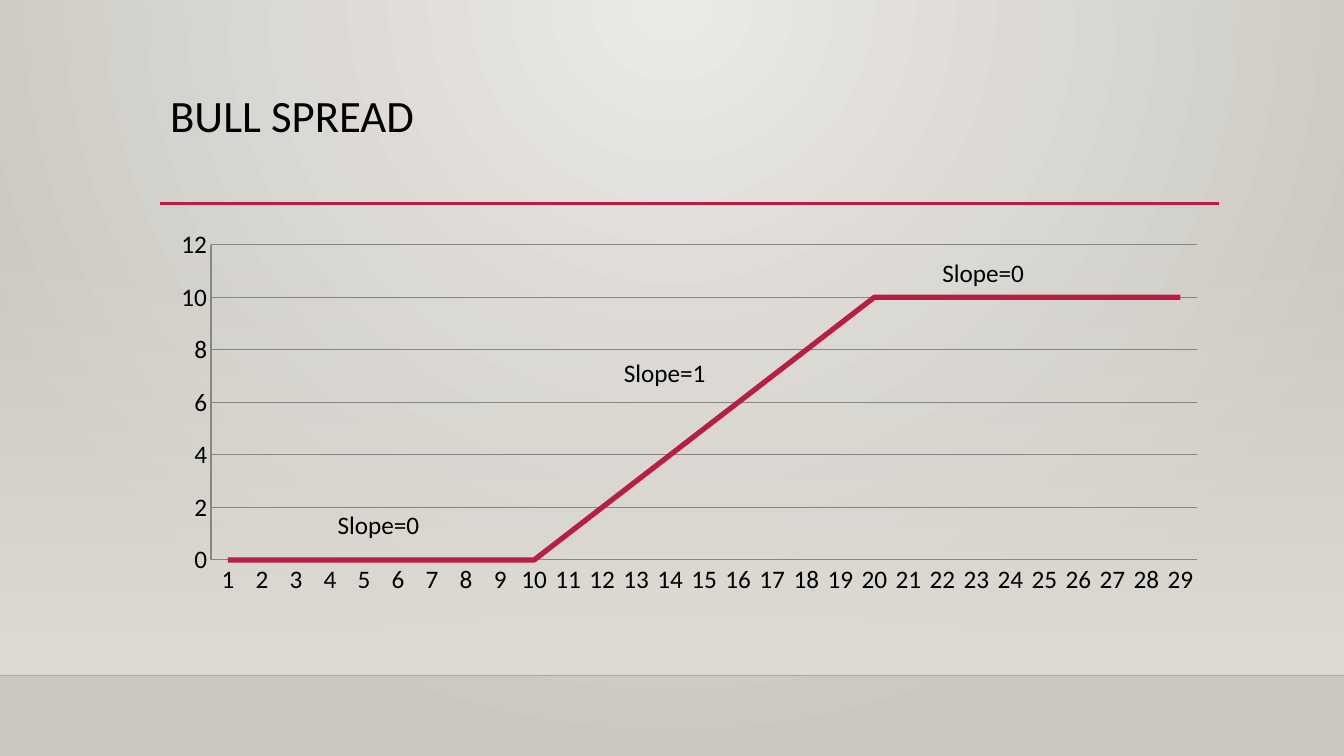
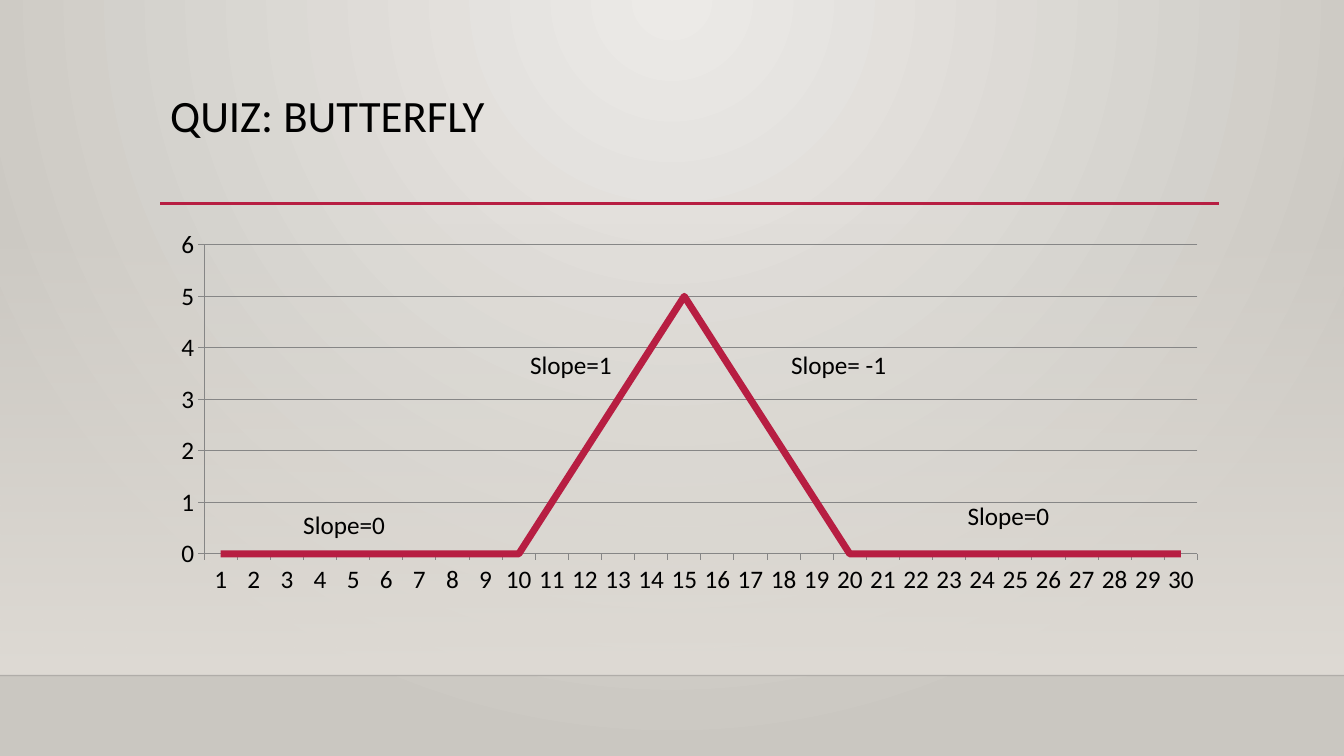
"""Build two option payoff slides, each a line chart with slope labels."""
import lxml.etree
import pptx
import pptx.chart.data
import pptx.dml.color
import pptx.enum.chart
import pptx.enum.shapes
import pptx.enum.text
import pptx.oxml
import pptx.oxml.ns
import pptx.util

Pt = pptx.util.Pt
qn = pptx.oxml.ns.qn

WIDTH, HEIGHT = 960, 540
LEFT, CONTENT_W = 114.5, 756
RULE_Y, BAND_TOP, FLOOR_Y = 145.5, 159, 482.5
FONT = "Calibri"
BLACK, RED, GRID = "000000", "B71E42", "868686"
BG_LIGHT, BG_DARK, BAND, FLOOR = "ECEAE7", "CAC7C1", "DFDBD5", "000001"
RADIAL = '<a:path path="circle"><a:fillToRect l="43000" r="43000" b="100000"/></a:path>'
DOWNWARD = '<a:lin ang="5400000" scaled="0"/>'


def rgb(color):
    return pptx.dml.color.RGBColor.from_string(color)


def set_font(font, size):
    font.name = FONT
    font.size = Pt(size)
    font.color.rgb = rgb(BLACK)


def set_line(line, color, width):
    line.color.rgb = rgb(color)
    line.width = Pt(width)


def set_gradient(owner, stops, shade):
    owner.fill.solid() if hasattr(owner, "fill") else owner.background.fill.solid()
    gs = "".join(
        f'<a:gs pos="{pos * 1000}"><a:srgbClr val="{color}">'
        f'<a:alpha val="{alpha * 1000}"/></a:srgbClr></a:gs>'
        for pos, color, alpha in stops)
    grad = pptx.oxml.parse_xml(
        f'<a:gradFill {pptx.oxml.ns.nsdecls("a")} rotWithShape="1">'
        f"<a:gsLst>{gs}</a:gsLst>{shade}</a:gradFill>")
    solid = owner.element.find(".//" + qn("a:solidFill"))
    solid.getparent().replace(solid, grad)


def add_rule(s, x, y, w, color, width, alpha=100):
    line = s.shapes.add_connector(
        pptx.enum.shapes.MSO_CONNECTOR.STRAIGHT, Pt(x), Pt(y), Pt(x + w), Pt(y))
    set_line(line.line, color, width)
    if alpha < 100:
        clr = line.element.find(".//" + qn("a:ln")).find(".//" + qn("a:srgbClr"))
        lxml.etree.SubElement(clr, qn("a:alpha")).set("val", str(alpha * 1000))
    lxml.etree.SubElement(line.element.spPr, qn("a:effectLst"))


def add_text(s, text, x, y, w, h, size):
    tf = s.shapes.add_textbox(Pt(x), Pt(y), Pt(w), Pt(h)).text_frame
    p = tf.paragraphs[0]
    p.text = text
    set_font(p.font, size)
    return tf


def add_label(s, text, x, y, w=74):
    tf = add_text(s, text, x, y, w, 29, 18)
    tf.word_wrap = False
    tf.auto_size = pptx.enum.text.MSO_AUTO_SIZE.SHAPE_TO_FIT_TEXT


def add_payoff_chart(s, values, top_value, step, width, tick):
    data = pptx.chart.data.CategoryChartData()
    data.categories = [str(i) for i in range(1, len(values) + 1)]
    data.add_series("Series 1", values)
    chart = s.shapes.add_chart(
        pptx.enum.chart.XL_CHART_TYPE.LINE,
        Pt(LEFT), Pt(158.5), Pt(CONTENT_W), Pt(271.5), data).chart
    chart.has_title = False
    chart.has_legend = False
    set_font(chart.font, 18)
    plot = chart.plots[0]
    plot.vary_by_categories = False
    plot.series[0].smooth = False
    set_line(plot.series[0].format.line, RED, width)
    for axis in (chart.category_axis, chart.value_axis):
        axis.major_tick_mark = tick
        set_line(axis.format.line, GRID, 0.75)
    value_axis = chart.value_axis
    value_axis.minimum_scale, value_axis.maximum_scale = 0, top_value
    value_axis.major_unit = step
    value_axis.has_major_gridlines = True
    set_line(value_axis.major_gridlines.format.line, GRID, 0.75)


def add_slide(prs, title):
    s = prs.slides.add_slide(prs.slide_layouts[6])
    set_gradient(s, [(0, BG_LIGHT, 100), (100, BG_DARK, 100)], RADIAL)
    band = s.shapes.add_shape(
        pptx.enum.shapes.MSO_SHAPE.RECTANGLE,
        0, Pt(BAND_TOP), Pt(WIDTH), Pt(FLOOR_Y - BAND_TOP))
    band.shadow.inherit = False
    set_gradient(band, [(0, BAND, 0), (100, BAND, 100)], DOWNWARD)
    band.line.fill.background()
    add_rule(s, 0, FLOOR_Y, WIDTH, FLOOR, 1, alpha=20)
    add_rule(s, LEFT, RULE_Y, CONTENT_W, RED, 2.5)
    tf = add_text(s, title, LEFT, 63.5, CONTENT_W, 82.5, 32)
    tf.word_wrap = True
    tf.paragraphs[0].line_spacing = 0.9
    return s


def main():
    prs = pptx.Presentation()
    prs.slide_width, prs.slide_height = Pt(WIDTH), Pt(HEIGHT)
    ticks = pptx.enum.chart.XL_TICK_MARK

    s = add_slide(prs, "BULL SPREAD")
    bull = [min(max(price - 10, 0), 10) for price in range(1, 30)]
    add_payoff_chart(s, bull, 12, 2, 3.75, ticks.NONE)
    add_label(s, "Slope=1", 438.5, 252)
    add_label(s, "Slope=0", 234, 360)
    add_label(s, "Slope=0", 666, 180)

    s = add_slide(prs, "QUIZ: BUTTERFLY")
    butterfly = [max(5 - abs(price - 15), 0) for price in range(1, 31)]
    add_payoff_chart(s, butterfly, 6, 1, 5, ticks.OUTSIDE)
    add_label(s, "Slope=1", 371.5, 246)
    add_label(s, "Slope= -1", 558, 246, 86)
    add_label(s, "Slope=0", 209.5, 360)
    add_label(s, "Slope=0", 684, 354)

    prs.save("out.pptx")


if __name__ == "__main__":
    main()
